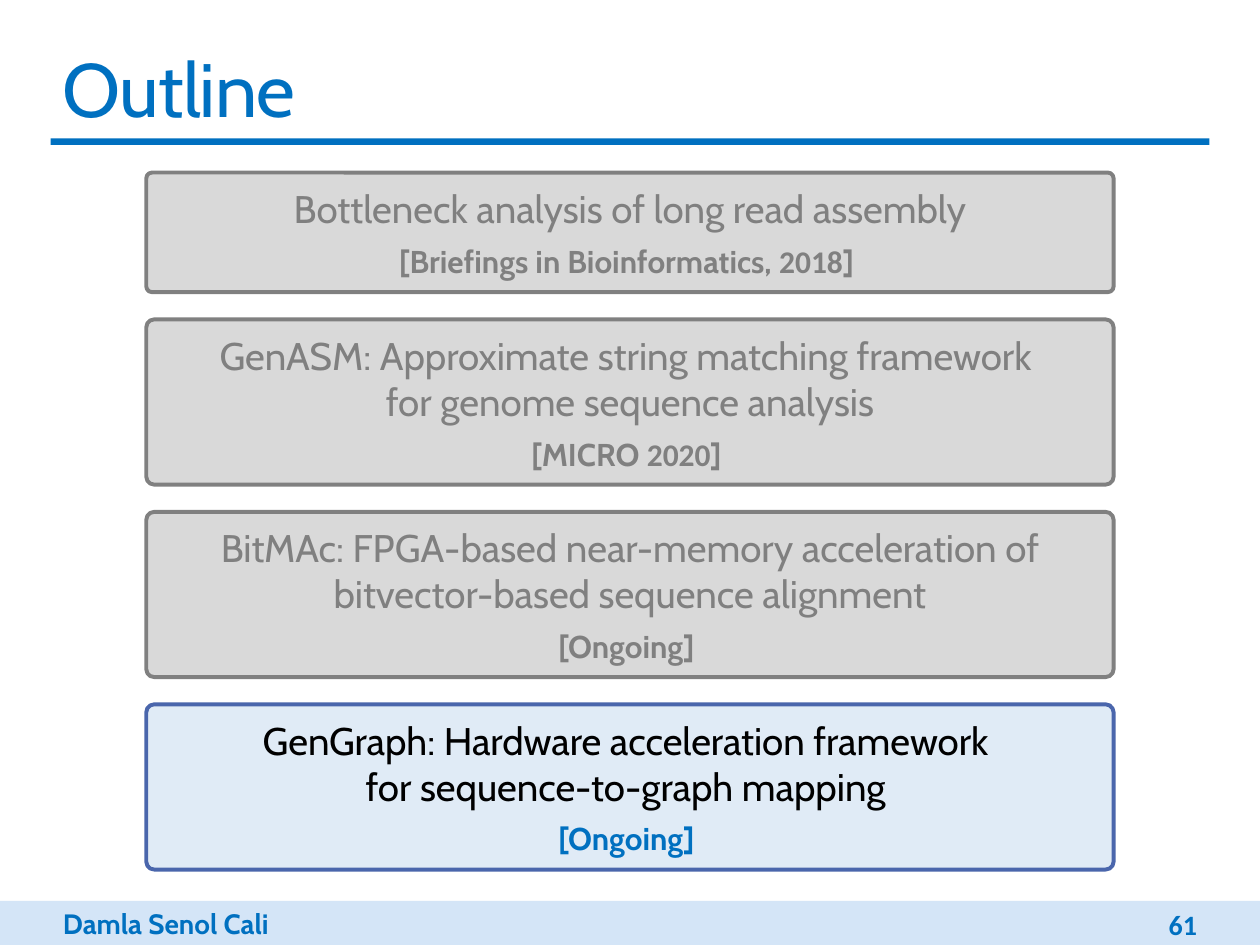
from pptx import Presentation
from pptx.dml.color import RGBColor
from pptx.enum.shapes import MSO_SHAPE
from pptx.enum.text import MSO_ANCHOR, PP_ALIGN
from pptx.util import Cm, Pt

BLUE = RGBColor(0x00, 0x70, 0xC0)
PALE_BLUE = RGBColor(0xD4, 0xE5, 0xF7)
ACTIVE_FILL = RGBColor(0xE0, 0xEB, 0xF6)
ACTIVE_LINE = RGBColor(0x4A, 0x66, 0xAC)
GRAY = RGBColor(0x80, 0x80, 0x80)
LIGHT_GRAY = RGBColor(0xD9, 0xD9, 0xD9)
BLACK = RGBColor(0x00, 0x00, 0x00)

DONE = {"fill": LIGHT_GRAY, "line": GRAY, "topic": GRAY, "venue": GRAY}
ACTIVE = {"fill": ACTIVE_FILL, "line": ACTIVE_LINE, "topic": BLACK, "venue": BLUE}


class SlideBuilder:
    font = "Cabin"
    number_font = "Calibri"

    def __init__(self, slide):
        self.slide = slide

    def add_span(self, para, text, color, **values):
        span = para.add_run()
        span.text = text
        span.font.color.rgb = color
        for name, value in ({"name": self.font} | values).items():
            setattr(span.font, name, value)
        return span

    def add_bar(self, left, top, width, height, color):
        bar = self.slide.shapes.add_shape(
            MSO_SHAPE.RECTANGLE, Cm(left), Cm(top), Cm(width), Cm(height))
        bar.shadow.inherit = False
        bar.fill.solid()
        bar.fill.fore_color.rgb = color
        bar.line.fill.background()

    def add_label(self, left, top, width, height, text, align=PP_ALIGN.LEFT,
                  anchor=MSO_ANCHOR.MIDDLE, **values):
        box = self.slide.shapes.add_textbox(Cm(left), Cm(top), Cm(width), Cm(height))
        box.text_frame.word_wrap = True
        box.text_frame.vertical_anchor = anchor
        para = box.text_frame.paragraphs[0]
        para.alignment = align
        return self.add_span(para, text, BLUE, **values)

    def add_topic(self, top, height, lines, venue, style):
        box = self.slide.shapes.add_shape(
            MSO_SHAPE.ROUNDED_RECTANGLE, Cm(2.95), Cm(top), Cm(19.5), Cm(height))
        box.adjustments[0] = 0.048
        box.shadow.inherit = False
        box.fill.solid()
        box.fill.fore_color.rgb = style["fill"]
        box.line.color.rgb = style["line"]
        box.line.width = Pt(2.25)
        frame = box.text_frame
        frame.word_wrap = True
        frame.vertical_anchor = MSO_ANCHOR.MIDDLE
        para = frame.paragraphs[0]
        for index, line in enumerate(lines):
            para = frame.add_paragraph() if index else para
            para.alignment = PP_ALIGN.CENTER
            self.add_span(para, line, style["topic"], size=Pt(22))
        # Venue line, with its year in the number font
        para = frame.add_paragraph()
        para.alignment = PP_ALIGN.CENTER
        para.space_before = Pt(6)
        for text in venue:
            font = self.number_font if text.isdigit() else self.font
            self.add_span(para, text, style["venue"], name=font, size=Pt(18), bold=True)


def main():
    deck = Presentation()
    deck.slide_width, deck.slide_height = Cm(25.4), Cm(19.05)
    page = SlideBuilder(deck.slides.add_slide(deck.slide_layouts[6]))

    # Footer band and title rule
    page.add_bar(0, 18.16, 25.4, 0.89, PALE_BLUE)
    page.add_bar(1.02, 2.79, 23.36, 0.13, BLUE)

    # Author, title and page number
    page.add_label(1.02, 18.16, 6.35, 0.94, "Damla Senol Cali",
                   anchor=MSO_ANCHOR.TOP, size=Pt(16), bold=True)
    title = page.add_label(1.02, 0.71, 23.36, 2.08, "Outline", size=Pt(43.2))
    title.font._element.set("spc", "-50")
    page.add_label(20.88, 18.26, 3.5, 0.76, "61", align=PP_ALIGN.RIGHT,
                   name=page.number_font, size=Pt(16), bold=True)

    # Topics, stacked with equal gaps
    topics = [
        (2.41, ["Bottleneck analysis of long read assembly"],
         ["[Briefings in Bioinformatics, ", "2018", "] "], DONE),
        (3.33, ["GenASM: Approximate string matching framework ",
                "for genome sequence analysis"],
         ["[MICRO ", "2020", "] "], DONE),
        (3.33, ["BitMAc: FPGA-based near-memory acceleration of "
                "bitvector-based sequence alignment"],
         ["[Ongoing] "], DONE),
        (3.33, ["GenGraph: Hardware acceleration framework ",
                "for sequence-to-graph mapping "],
         ["[Ongoing] "], ACTIVE),
    ]
    top, gap = 3.48, 0.55
    for height, lines, venue, style in topics:
        page.add_topic(top, height, lines, venue, style)
        top += height + gap

    deck.save("out.pptx")


if __name__ == "__main__":
    main()
